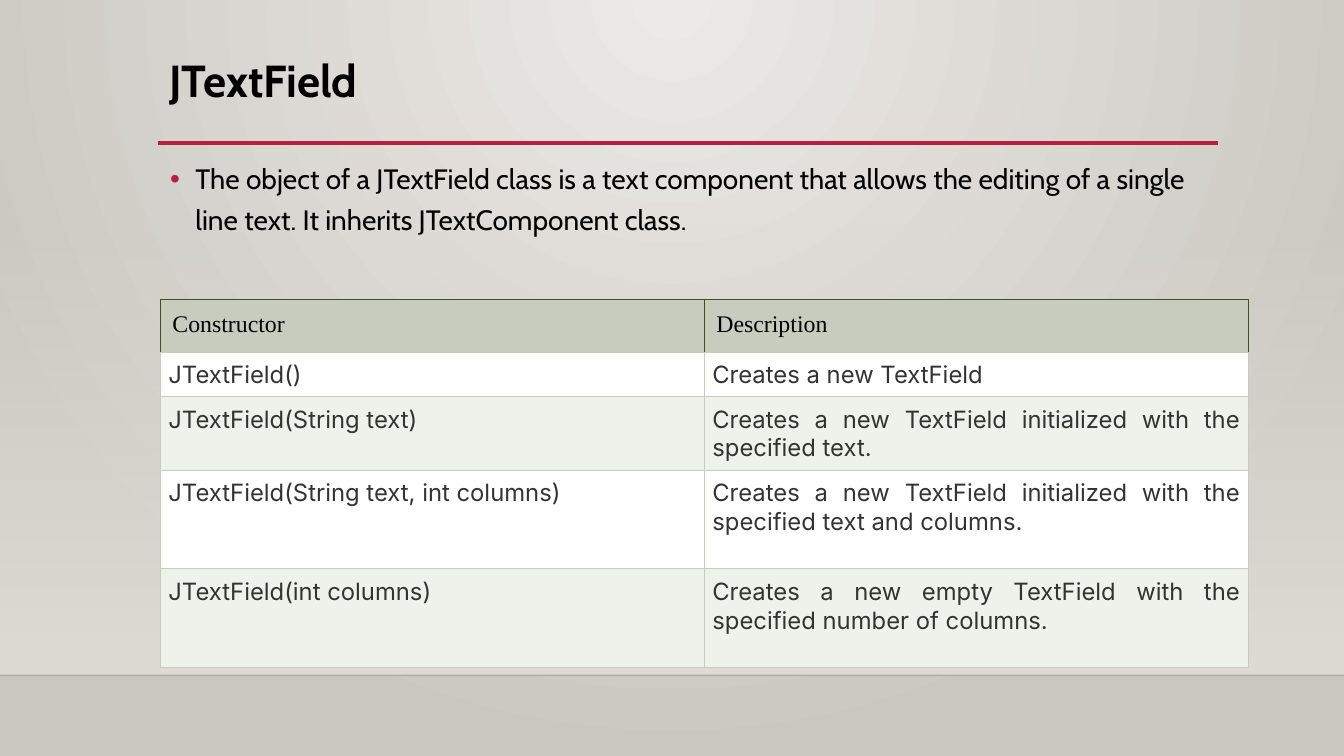
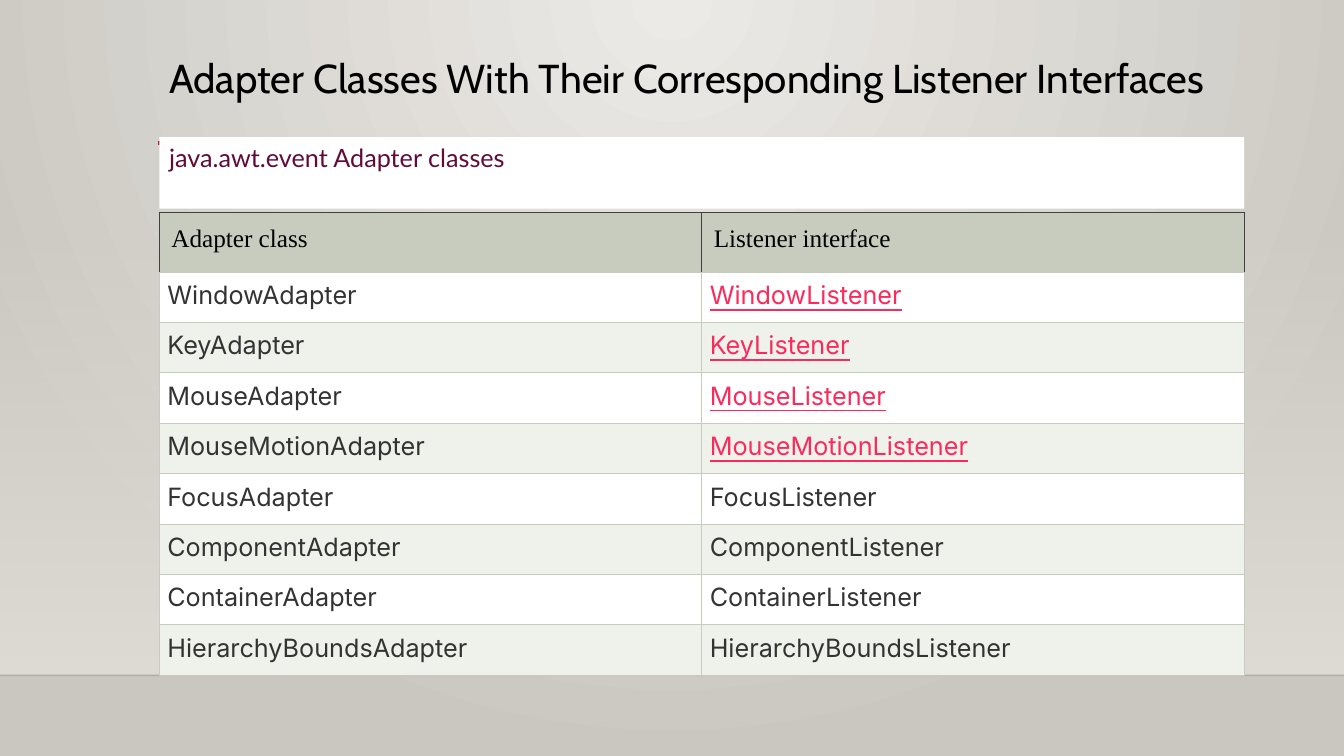
"""Build two slides on Java text fields and event adapter classes."""
from lxml import etree
from pptx import Presentation
from pptx.dml.color import RGBColor
from pptx.enum.shapes import MSO_CONNECTOR, MSO_SHAPE
from pptx.enum.text import MSO_ANCHOR, PP_ALIGN
from pptx.oxml.ns import qn
from pptx.util import Inches, Pt

STRAIGHT = MSO_CONNECTOR.STRAIGHT
RECTANGLE = MSO_SHAPE.RECTANGLE
TOP = MSO_ANCHOR.TOP
LEFT, JUSTIFY = PP_ALIGN.LEFT, PP_ALIGN.JUSTIFY

COLORS = {
    "glow": "ECEAE7", "edge": "CAC7C1", "band": "DFDBD5", "floor": "000001",
    "accent": "B71E42", "black": "000000", "white": "FFFFFF", "sage": "C7CCBE",
    "stripe": "EFF1EB", "olive": "40521A", "charcoal": "404040",
    "body": "333333", "link": "FA2B5C", "plum": "610B38",
}
STYLES = {
    "title": {"font": {"name": "Cabin"}, "color": "black",
              "paragraph": {"line_spacing": 0.9}},
    "bullet": {"font": {"name": "Cabin", "size": Pt(20)}, "color": "black",
               "paragraph": {"line_spacing": 1.2, "space_before": Pt(10)}},
    "caption": {"font": {"name": "Lato", "size": Pt(18)}, "color": "plum",
                "paragraph": {"alignment": LEFT}},
    "header": {"font": {"name": "Times New Roman", "bold": False}, "color": "black",
               "paragraph": {"alignment": LEFT}},
    "cell": {"font": {"name": "Inter", "bold": False}, "color": "body",
             "paragraph": {"alignment": JUSTIFY}},
    "link": {"font": {"name": "Inter", "underline": True}, "color": "link",
             "paragraph": {"alignment": JUSTIFY}},
}
PAGES = [
    {
        "title": "JTextField",
        "title_font": {"size": Pt(32), "bold": True},
        "bullet": "The object of a JTextField class is a text component that allows "
                  "the editing of a single line text. It inherits JTextComponent class.",
        "place": (1.59, 2.97, 10.79),
        "heights": [0.51, 0.43, 0.71, 0.98, 0.98],
        "size": Pt(17),
        "header_border": "olive",
        "links": [],
        "rows": [
            ("Constructor", "Description"),
            ("JTextField()", "Creates a new TextField"),
            ("JTextField(String text)",
             "Creates a new TextField initialized with the specified text."),
            ("JTextField(String text, int columns)",
             "Creates a new TextField initialized with the specified text and columns."),
            ("JTextField(int columns)",
             "Creates a new empty TextField with the specified number of columns."),
        ],
    },
    {
        "title": "Adapter Classes With Their Corresponding Listener Interfaces",
        "title_font": {"size": Pt(28.8)},
        "caption": "java.awt.event Adapter classes",
        "place": (1.58, 2.11, 10.76),
        "heights": [0.59] + [0.5] * 8,
        "size": Pt(18),
        "header_border": "charcoal",
        "links": ["WindowListener", "KeyListener", "MouseListener", "MouseMotionListener"],
        "rows": [("Adapter class", "Listener interface")] + [
            (f"{event}Adapter", f"{event}Listener")
            for event in ("Window", "Key", "Mouse", "MouseMotion", "Focus",
                          "Component", "Container", "HierarchyBounds")
        ],
    },
]


def write(frame, text, style, **extra):
    """Write one styled paragraph into a text frame and return it."""
    look = STYLES[style]
    frame.word_wrap = True
    para = frame.paragraphs[0]
    span = para.add_run()
    span.text = text
    for name, value in look["paragraph"].items():
        setattr(para, name, value)
    for name, value in {**look["font"], **extra}.items():
        setattr(span.font, name, value)
    span.font.color.rgb = RGBColor.from_string(COLORS[look["color"]])
    return para


def add_node(parent, tag, **attributes):
    """Append a drawing element and return it."""
    return etree.SubElement(parent, qn(tag), attributes)


deck = Presentation()
deck.slide_width, deck.slide_height = Inches(13.33), Inches(7.5)

backdrop = deck.slide_master.background.fill
backdrop.gradient()
for stop, color, position in zip(backdrop.gradient_stops, ("glow", "edge"), (0, 1)):
    stop.color.rgb = RGBColor.from_string(COLORS[color])
    stop.position = position
gradient = deck.slide_master.element.find(".//" + qn("a:gradFill"))
gradient.remove(gradient.find(qn("a:lin")))
circle = add_node(gradient, "a:path", path="circle")
add_node(circle, "a:fillToRect", l="43000", t="0", r="43000", b="100000")

for content in PAGES:
    page = deck.slides.add_slide(deck.slide_layouts[6])

    band = page.shapes.add_shape(RECTANGLE, 0, Inches(2.21), Inches(13.33), Inches(4.49))
    band.shadow.inherit = False
    band.line.fill.background()
    band.fill.gradient()
    band.fill.gradient_angle = 270
    for stop, position in zip(band.fill.gradient_stops, (0, 1)):
        stop.color.rgb = RGBColor.from_string(COLORS["band"])
        stop.position = position
    add_node(band.element.find(".//" + qn("a:srgbClr")), "a:alpha", val="0")

    for left, right, top, color, width, alpha in (
        (0, 13.33, 6.7, "floor", 1, "20000"),
        (1.57, 12.08, 1.42, "accent", 2.5, "100000"),
    ):
        rule = page.shapes.add_connector(
            STRAIGHT, Inches(left), Inches(top), Inches(right), Inches(top))
        rule.line.color.rgb = RGBColor.from_string(COLORS[color])
        rule.line.width = Pt(width)
        add_node(rule.element.find(".//" + qn("a:srgbClr")), "a:alpha", val=alpha)
        add_node(rule.element.spPr, "a:effectLst")

    title = page.shapes.add_textbox(Inches(1.58), Inches(0.53), Inches(10.5), Inches(0.83))
    write(title.text_frame, content["title"], "title", **content["title_font"])

    if "bullet" in content:
        box = page.shapes.add_textbox(Inches(1.59), Inches(1.49), Inches(10.5), Inches(1.2))
        para = write(box.text_frame, content["bullet"], "bullet")
        settings = para._p.get_or_add_pPr()
        settings.set("marL", str(Inches(0.25)))
        settings.set("indent", str(Inches(-0.25)))
        add_node(add_node(settings, "a:buClr"), "a:srgbClr", val=COLORS["accent"])
        add_node(settings, "a:buFont", typeface="Arial")
        add_node(settings, "a:buChar", char="•")

    rows, heights = content["rows"], content["heights"]
    left, top, width = content["place"]
    table = page.shapes.add_table(
        len(rows), 2, Inches(left), Inches(top), Inches(width), Inches(sum(heights))).table
    for row_index, (labels, height) in enumerate(zip(rows, heights)):
        table.rows[row_index].height = Inches(height)
        is_header = row_index == 0
        fill = "sage" if is_header else ("stripe", "white")[row_index % 2]
        border = content["header_border"] if is_header else "sage"
        inset = Inches(0.12 if is_header else 0.08)
        for column_index, label in enumerate(labels):
            cell = table.cell(row_index, column_index)
            for side in ("left", "right", "top", "bottom"):
                setattr(cell, f"margin_{side}", inset)
            settings = cell._tc.get_or_add_tcPr()
            for side, color in zip("LRTB", (border, border, border, "sage")):
                edge = add_node(settings, f"a:ln{side}", w=str(Pt(0.75)))
                add_node(add_node(edge, "a:solidFill"), "a:srgbClr", val=COLORS[color])
            cell.fill.solid()
            cell.fill.fore_color.rgb = RGBColor.from_string(COLORS[fill])
            style = "header" if is_header else "link" if label in content["links"] else "cell"
            write(cell.text_frame, label, style, size=content["size"])

    if "caption" in content:
        panel = page.shapes.add_shape(
            RECTANGLE, Inches(1.58), Inches(1.36), Inches(10.76), Inches(0.71))
        panel.shadow.inherit = False
        panel.line.fill.background()
        panel.fill.solid()
        panel.fill.fore_color.rgb = RGBColor.from_string(COLORS["white"])
        panel.text_frame.vertical_anchor = TOP
        write(panel.text_frame, content["caption"], "caption")

deck.save("out.pptx")
